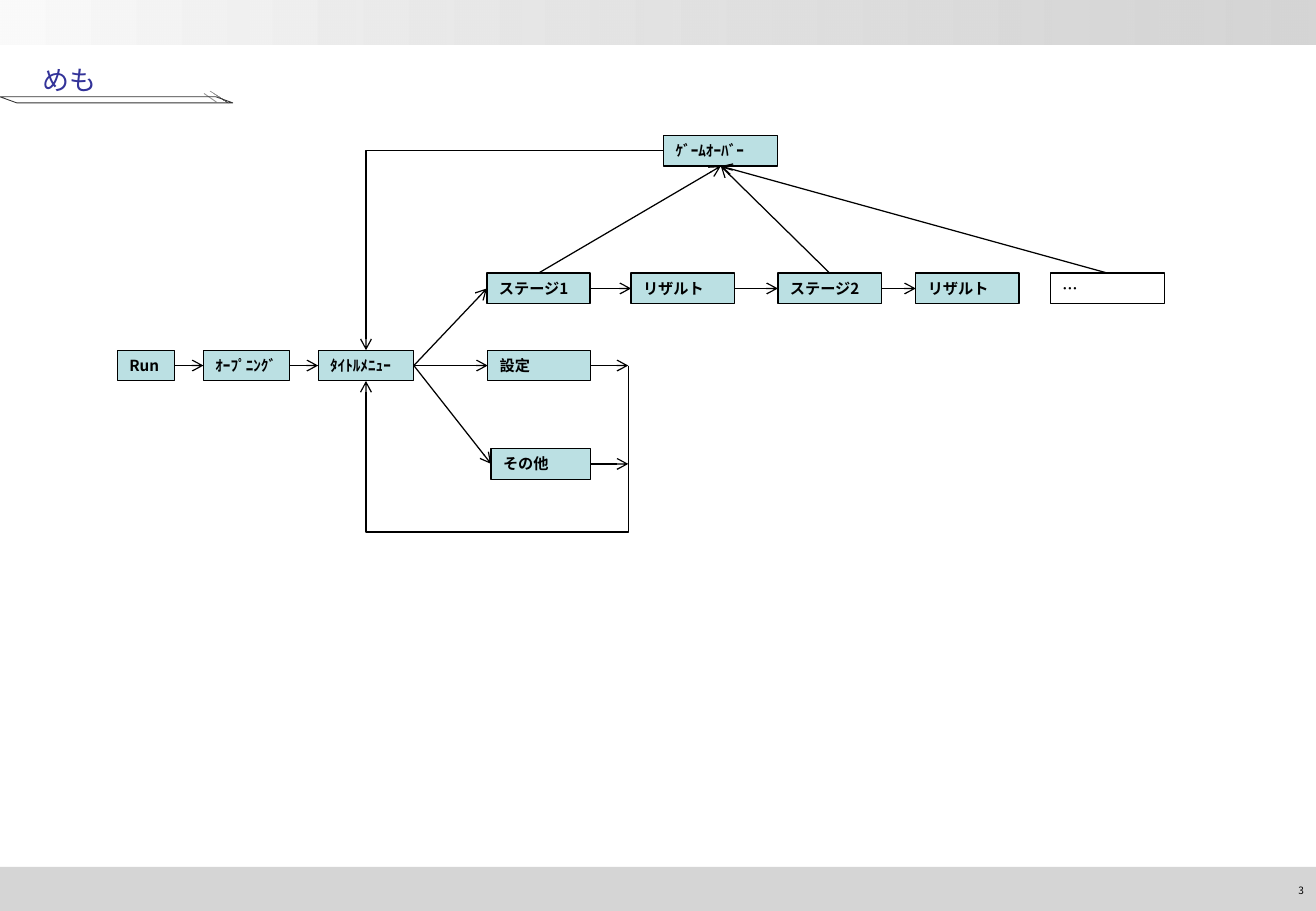
"""Builds a memo slide that maps the screen flow of a game."""
import lxml.etree
import pptx
import pptx.dml.color
import pptx.enum.shapes
import pptx.enum.text
import pptx.oxml.ns
import pptx.util

Pt = pptx.util.Pt
qn = pptx.oxml.ns.qn
PRESET = pptx.enum.shapes.MSO_SHAPE
ROUTE = pptx.enum.shapes.MSO_CONNECTOR
ALIGN = pptx.enum.text.PP_ALIGN

COLORS = {
    "band_light": "FAFAFA", "band": "C0C0C0", "node": "BBE0E3", "ink": "000000",
    "title": "333399", "tip_light": "DFDFDF", "tip_dark": "292929",
    "tip_line": "808080", "stripe_line": "969696", "rule_line": "333333",
}
JAPANESE = "Noto Sans CJK JP"
FRAME = {
    "word_wrap": True, "auto_size": pptx.enum.text.MSO_AUTO_SIZE.NONE,
    "vertical_anchor": pptx.enum.text.MSO_ANCHOR.MIDDLE,
    "margin_left": Pt(7.2), "margin_right": Pt(7.2), "margin_top": 0, "margin_bottom": 0,
}
NODE_FONT = {"name": JAPANESE, "size": Pt(9), "bold": True}
TITLE_FONT = {"name": "Arial", "size": Pt(16), "bold": False}
NUMBER_FONT = {"name": JAPANESE, "size": Pt(6), "bold": False}

NODE_HEIGHT = 18.2
ROWS = {"over": 0, "stages": 81.6, "menu": 127.3, "other": 185.6}
NODES = {
    "run": ("Run", 0, "menu", 34),
    "opening": ("\uff75\uff70\uff8c\uff9f\uff86\uff9d\uff78\uff9e", 51, "menu", 51),
    "menu": ("\uff80\uff72\uff84\uff99\uff92\uff86\uff6d\uff70", 119, "menu", 56.7),
    "settings": ("設定", 219.5, "menu", 60.8),
    "other": ("その他", 221.5, "other", 58.8),
    "stage1": ("ステージ1", 219, "stages", 61.2),
    "result1": ("リザルト", 304.5, "stages", 61.4),
    "stage2": ("ステージ2", 391.5, "stages", 61.4),
    "result2": ("リザルト", 473.2, "stages", 61.2),
    "more": ("…", 553, "stages", 67.7),
    "over": ("\uff79\uff9e\uff70\uff91\uff75\uff70\uff8a\uff9e\uff70", 323.8, "over", 67.7),
}
TOP, LEFT, BOTTOM, RIGHT = range(4)
STEPS = [
    ("run", "opening"), ("opening", "menu"), ("menu", "stage1"), ("menu", "settings"),
    ("menu", "other"), ("stage1", "result1"), ("result1", "stage2"), ("stage2", "result2"),
]
RETURN_X, RETURN_Y = 302.8, 235


def apply(target, formats):
    """Set every attribute in formats on target."""
    for attribute, value in formats.items():
        setattr(target, attribute, value)


def rgb(color):
    """Return the named colour."""
    return pptx.dml.color.RGBColor.from_string(COLORS[color])


def write(holder, words, font, color, align=ALIGN.LEFT):
    """Put formatted words into a shape, text box or placeholder."""
    apply(holder.text_frame, FRAME)
    paragraph = holder.text_frame.paragraphs[0]
    paragraph.alignment = align
    run = paragraph.add_run()
    run.text = words
    apply(run.font, font)
    run.font.color.rgb = rgb(color)
    east_asian = lxml.etree.SubElement(run.font._element, qn("a:ea"))
    east_asian.set("typeface", JAPANESE)


def draw(shapes, preset, box, fills=(), line=None, weight=0.75):
    """Add a preset shape with no, one or two fill colours."""
    shape = shapes.add_shape(preset, *box)
    shape.shadow.inherit = False
    if len(fills) == 2:
        shape.fill.gradient()
        shape.fill.gradient_angle = 0
        for stop, color in zip(shape.fill.gradient_stops, fills):
            stop.color.rgb = rgb(color)
    elif fills:
        shape.fill.solid()
        shape.fill.fore_color.rgb = rgb(fills[0])
    else:
        shape.fill.background()
    if line:
        shape.line.color.rgb = rgb(line)
        shape.line.width = Pt(weight)
    else:
        shape.line.fill.background()
    return shape


def add_band(slide, box, fills):
    """Draw a horizontal band whose last colour is partly transparent."""
    band = draw(slide.shapes, PRESET.RECTANGLE, box, fills)
    last_color = list(band._element.spPr.iter(qn("a:srgbClr")))[-1]
    lxml.etree.SubElement(last_color, qn("a:alpha")).set("val", "66000")


def add_footer(slide, box, number):
    """Draw the footer band with the slide number at its right end."""
    left, top, width, height = box
    add_band(slide, box, ["band"])
    number_width, number_top = Pt(61), Pt(5.8)
    page = slide.shapes.add_textbox(
        left + width - number_width, top + number_top, number_width, Pt(16.5))
    write(page, number, NUMBER_FONT, "ink", ALIGN.RIGHT)


def add_title(slide, box, words):
    """Place the title and the slanted underline below it."""
    left, top, width, height = box
    title = slide.shapes.title
    apply(title, {"left": left + Pt(18), "top": top, "width": width, "height": height})
    write(title, words, TITLE_FONT, "title")
    underline = slide.shapes.add_group_shape().shapes
    for x, y, w, h, slant, fills, line, weight in [
        (124.5, 18, 11, 7.2, 2.65, ["tip_light", "tip_dark"], "tip_line", 0.25),
        (121, 19.5, 7.2, 5, 2.72, ["band"], "stripe_line", 0.5),
        (0, 21.4, 138, 3.6, 2.77, [], "rule_line", 0.5),
    ]:
        part_box = (left + Pt(x), top + Pt(y), Pt(w), Pt(h))
        part = draw(underline, PRESET.PARALLELOGRAM, part_box, fills, line, weight)
        part.adjustments[0] = slant
        part._element.spPr.find(qn("a:xfrm")).set("flipV", "1")


def add_arrow(slide, start, end, route=ROUTE.STRAIGHT):
    """Draw a thin line with an open arrowhead at its end."""
    arrow = slide.shapes.add_connector(route, *start, *end)
    arrow.line.color.rgb = rgb("ink")
    arrow.line.width = Pt(0.75)
    lxml.etree.SubElement(arrow.line._get_or_add_ln(), qn("a:tailEnd")).set("type", "arrow")
    lxml.etree.SubElement(arrow._element.spPr, qn("a:effectLst"))
    return arrow


def bend(arrow, preset, adjustments=()):
    """Give an elbow arrow its preset route and bend positions."""
    geometry = arrow._element.spPr.find(qn("a:prstGeom"))
    geometry.set("prst", preset)
    for index, value in enumerate(adjustments, 1):
        guide = lxml.etree.SubElement(geometry.find(qn("a:avLst")), qn("a:gd"))
        guide.set("name", f"adj{index}")
        guide.set("fmla", f"val {round(value * 100000)}")


def site(node, side):
    """Return the middle of one side of a node."""
    return {
        TOP: (node.left + node.width // 2, node.top),
        LEFT: (node.left, node.top + node.height // 2),
        BOTTOM: (node.left + node.width // 2, node.top + node.height),
        RIGHT: (node.left + node.width, node.top + node.height // 2),
    }[side]


def add_flow(slide, box):
    """Draw the screens and the arrows between them."""
    left, top, _, _ = box
    screens = {}
    for key, (words, x, row, width) in NODES.items():
        node_box = (left + Pt(x), top + Pt(ROWS[row]), Pt(width), Pt(NODE_HEIGHT))
        fills = [] if key == "more" else ["node"]
        screens[key] = draw(slide.shapes, PRESET.RECTANGLE, node_box, fills, "ink")
        write(screens[key], words, NODE_FONT, "ink")

    links = [(source, RIGHT, target, LEFT) for source, target in STEPS]
    links += [(source, TOP, "over", BOTTOM) for source in ("stage1", "stage2", "more")]
    for source, exit_side, target, entry_side in links:
        start, end = screens[source], screens[target]
        arrow = add_arrow(slide, site(start, exit_side), site(end, entry_side))
        arrow.begin_connect(start, exit_side)
        arrow.end_connect(end, entry_side)

    return_x = left + Pt(RETURN_X)
    for key in ("settings", "other"):
        start = site(screens[key], RIGHT)
        add_arrow(slide, start, (return_x, start[1]))

    restart = add_arrow(
        slide, site(screens["over"], LEFT), site(screens["menu"], TOP), ROUTE.ELBOW)
    bend(restart, "bentConnector2")
    start_y = site(screens["settings"], RIGHT)[1]
    end = site(screens["menu"], BOTTOM)
    back = add_arrow(slide, (return_x, start_y), end, ROUTE.ELBOW)
    drop = (top + Pt(RETURN_Y) - start_y) / (end[1] - start_y)
    bend(back, "bentConnector4", (0, drop))


deck = pptx.Presentation()
apply(deck, {"slide_width": Pt(780), "slide_height": Pt(540)})
memo = deck.slides.add_slide(deck.slide_layouts[5])
add_band(memo, (0, 0, Pt(780), Pt(26.3)), ["band_light", "band"])
add_footer(memo, (0, Pt(513.8), Pt(780), Pt(26.2)), "3")
add_title(memo, (0, Pt(36), Pt(264), Pt(22.3)), "めも")
add_flow(memo, (Pt(69.6), Pt(80.3), Pt(621), Pt(235)))
deck.save("out.pptx")
